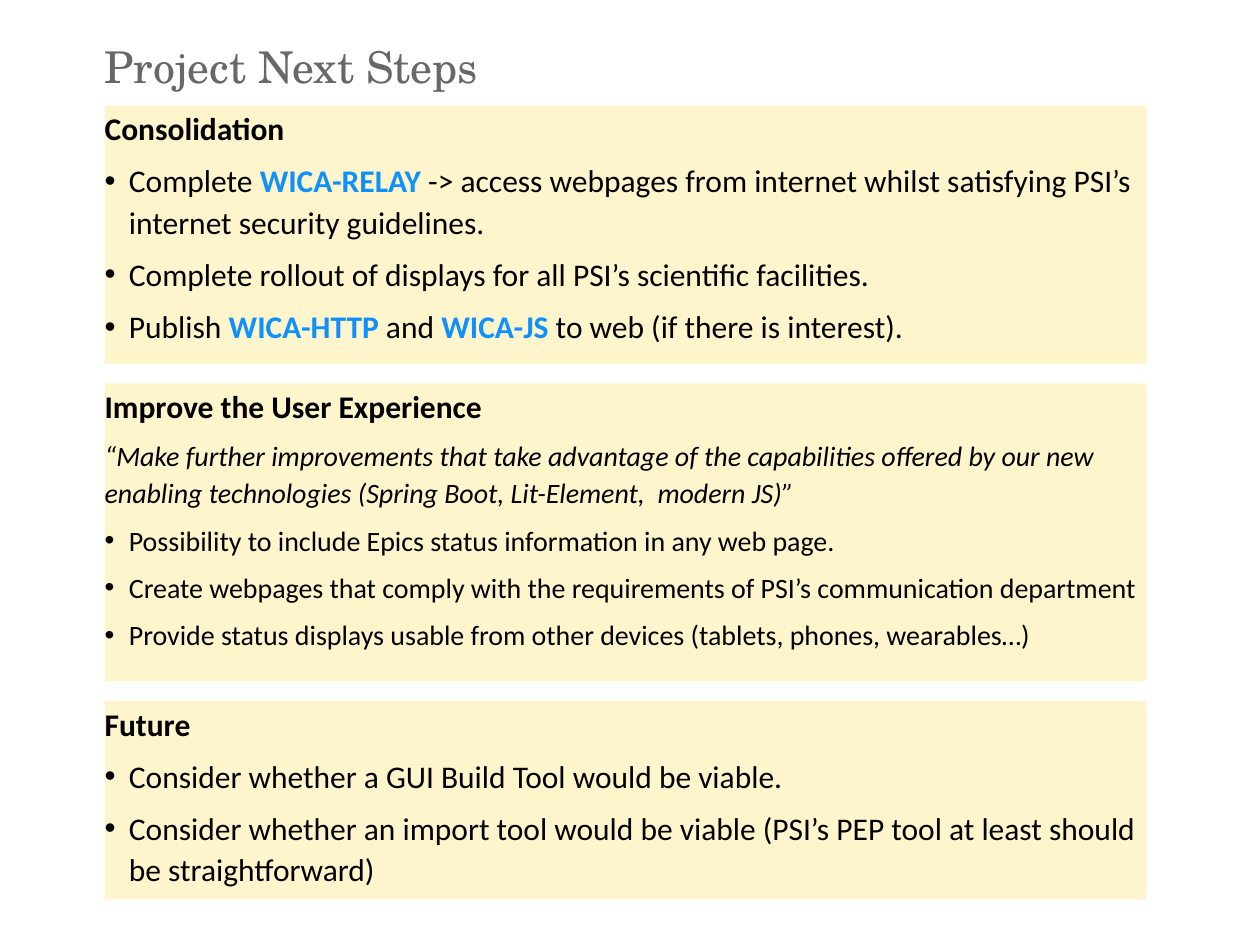
from lxml import etree
from pptx import Presentation
from pptx.dml.color import RGBColor
from pptx.enum.shapes import MSO_SHAPE
from pptx.enum.text import MSO_ANCHOR, PP_ALIGN
from pptx.oxml.ns import qn
from pptx.util import Cm, Pt

RECT = MSO_SHAPE.RECTANGLE
TOP = MSO_ANCHOR.TOP
LEFT = PP_ALIGN.LEFT

EDGE, WIDTH, GAP = 2.11, 21, 0.4
INDENT = Cm(0.49)
FRAME = {"margin_left": 0, "margin_top": 0, "margin_right": 0,
         "margin_bottom": 0, "word_wrap": True, "vertical_anchor": TOP}

# Each panel: height in cm, body size, heading, lines.
# A line has a kind and its text; words between * are key names.
PANELS = [
    (5.2, 18, "Consolidation", [
        ("bullet", "Complete *WICA-RELAY* -> access webpages from internet "
                   "whilst satisfying PSI’s internet security guidelines."),
        ("bullet", "Complete rollout of displays for all PSI’s scientific facilities."),
        ("bullet", "Publish *WICA-HTTP* and *WICA-JS* to web (if there is interest)."),
    ]),
    (6, 16, "Improve the User Experience", [
        ("quote", "“Make further improvements that take advantage of the "
                  "capabilities offered by our new enabling technologies "
                  "(Spring Boot, Lit-Element,  modern JS)”"),
        ("bullet", "Possibility to include Epics status information in any web page."),
        ("bullet", "Create webpages that comply with the requirements of "
                   "PSI’s communication department"),
        ("bullet", "Provide status displays usable from other devices "
                   "(tablets, phones, wearables…)"),
    ]),
    (4, 18, "Future", [
        ("bullet", "Consider whether a GUI Build Tool would be viable."),
        ("bullet", "Consider whether an import tool would be viable "
                   "(PSI’s PEP tool at least should be straightforward)"),
    ]),
]


def color(code):
    return RGBColor.from_string(code)


def style(item, values):
    for name, value in values.items():
        setattr(item, name, value)


deck = Presentation()
style(deck, {"slide_width": Cm(25.4), "slide_height": Cm(19.05)})
slide = deck.slides.add_slide(deck.slide_layouts[5])

# Title
title = slide.shapes.title
style(title, {"left": Cm(EDGE), "top": Cm(0.81),
              "width": Cm(22.3), "height": Cm(1.42)})
style(title.text_frame, FRAME)
title.text_frame.text = "Project Next Steps"
para = title.text_frame.paragraphs[0]
para.alignment = LEFT
style(para.font, {"name": "TeX Gyre Schola", "size": Pt(25), "bold": False})
para.font.color.rgb = color("686868")

# Panels, stacked with equal gaps
top = 2.13
for height, size, head, lines in PANELS:
    panel = slide.shapes.add_shape(RECT, Cm(EDGE), Cm(top), Cm(WIDTH), Cm(height))
    panel.shadow.inherit = False
    panel.fill.solid()
    panel.fill.fore_color.rgb = color("FFF5CC")
    panel.line.fill.background()
    frame = panel.text_frame
    style(frame, FRAME)

    for num, (kind, text) in enumerate([("head", head)] + lines):
        para = frame.add_paragraph() if num else frame.paragraphs[0]
        style(para, {"alignment": LEFT, "line_spacing": 1.1,
                     "space_before": Pt(6 if num else 0)})

        # Bullet with hanging indent
        if kind == "bullet":
            props = para._p.get_or_add_pPr()
            props.set("marL", str(INDENT))
            props.set("indent", str(-INDENT))
            tint = etree.SubElement(props, qn("a:buClr"))
            etree.SubElement(tint, qn("a:srgbClr"), val="000000")
            etree.SubElement(props, qn("a:buFont"), typeface="Arial")
            etree.SubElement(props, qn("a:buChar"), char="•")

        # Plain and key runs take turns
        for part, words in enumerate(text.split("*")):
            key = part % 2 == 1
            run = para.add_run()
            run.text = words
            style(run.font, {"name": "Calibri", "size": Pt(size if num else 18),
                             "bold": key or kind == "head",
                             "italic": kind == "quote"})
            run.font.color.rgb = color("0F90FF" if key else "000000")
    top += height + GAP

deck.save("out.pptx")
